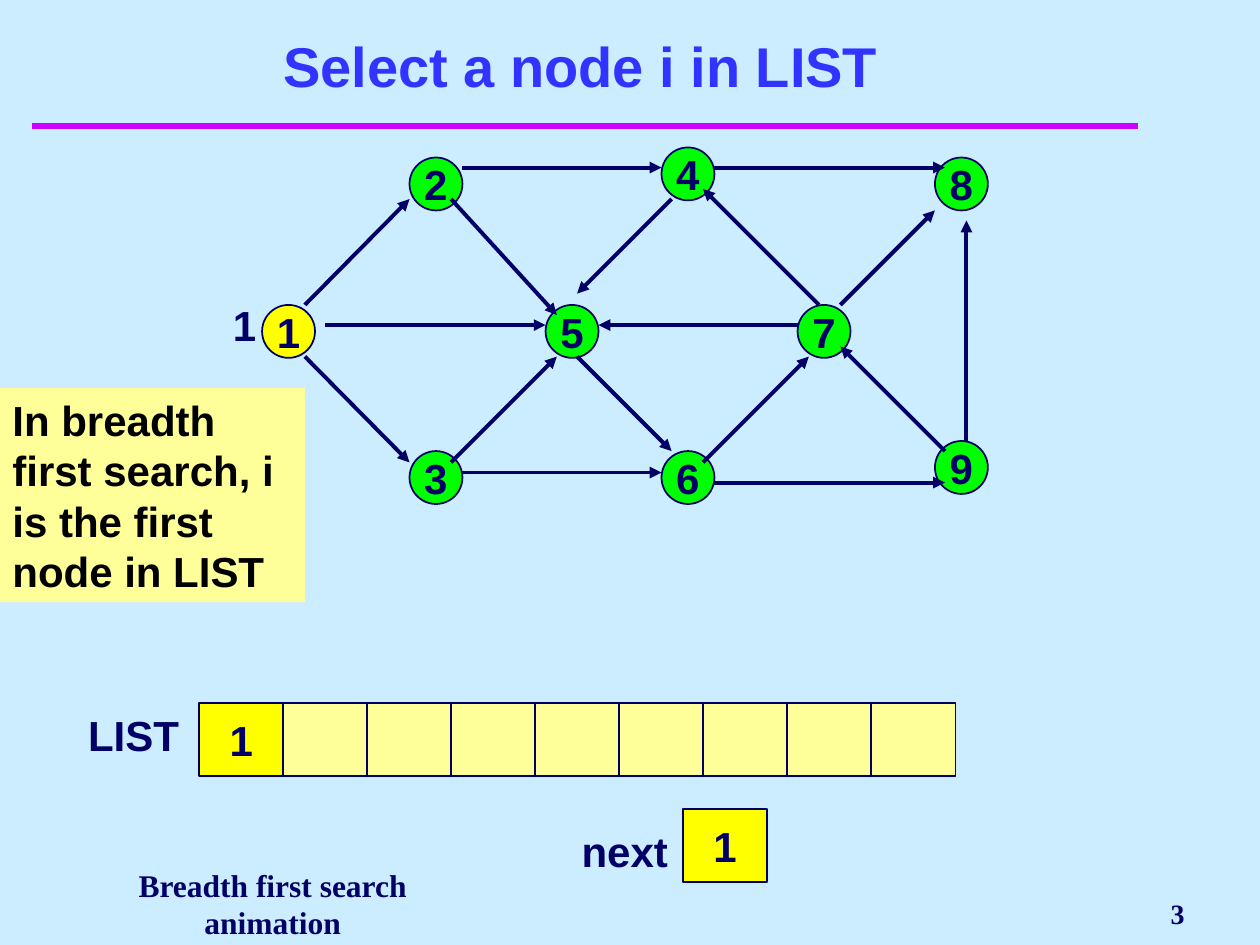
"""Build a slide showing node selection in breadth first search."""
import pptx
import pptx.util
import pptx.dml.color
import pptx.enum.shapes
import pptx.enum.text
import pptx.oxml.xmlchemy

Inches = pptx.util.Inches
Pt = pptx.util.Pt
Kind = pptx.enum.shapes.MSO_SHAPE
Align = pptx.enum.text.PP_ALIGN
Anchor = pptx.enum.text.MSO_ANCHOR
Element = pptx.oxml.xmlchemy.OxmlElement

NAVY, GREEN, YELLOW, CREAM = "000066", "00FF00", "FFFF00", "FFFF99"
SERIF = "Times New Roman"
SIZE, WIDE, HIGH = 0.42, 0.67, 0.58
PITCH = 2 / 3

NODES = [
    ("2", 3.25, 1.25, GREEN), ("4", 5.25, 1.17, GREEN),
    ("5", 4.33, 2.42, GREEN), ("3", 3.25, 3.58, GREEN),
    ("6", 5.25, 3.58, GREEN), ("9", 7.42, 3.5, GREEN),
    ("7", 6.33, 2.42, GREEN), ("8", 7.42, 1.25, GREEN),
    ("1", 2.08, 2.42, YELLOW),
]
EDGES = [
    (3.67, 1.33, 5.25, 1.33), (5.67, 1.33, 7.5, 1.33),
    (6.67, 2.42, 7.42, 1.67), (6.5, 2.42, 5.58, 1.5),
    (5.33, 1.58, 4.58, 2.33), (2.58, 2.58, 4.33, 2.58),
    (3.58, 3.67, 4.42, 2.83), (4.58, 2.83, 5.33, 3.58),
    (3.67, 3.75, 5.25, 3.75), (5.67, 3.83, 7.5, 3.83),
    (7.5, 3.58, 6.67, 2.75), (7.67, 3.5, 7.67, 1.75),
    (2.42, 2.83, 3.25, 3.67), (2.42, 2.42, 3.25, 1.58),
    (3.58, 1.58, 4.42, 2.5), (6.33, 2.58, 4.75, 2.58),
    (5.58, 3.67, 6.42, 2.83),
]
LIST = ["1"] + [""] * 8
NOTE = "In breadth first search, i is the first node in LIST"


def tint(code):
    return pptx.dml.color.RGBColor.from_string(code)


def write(shape, text, align=Align.LEFT, anchor=Anchor.TOP, wrap=True,
          size=24, face="Arial", color=NAVY):
    frame = shape.text_frame
    frame.word_wrap = wrap
    frame.vertical_anchor = anchor
    para = frame.paragraphs[0]
    para.alignment = align
    run = para.add_run()
    run.text = text
    run.font.size = Pt(size)
    run.font.name = face
    run.font.bold = True
    run.font.color.rgb = tint(color)


def label(slide, box, text, **style):
    write(slide.shapes.add_textbox(*map(Inches, box)), text, **style)


def block(slide, kind, box, fill, text="", edge=True):
    shape = slide.shapes.add_shape(kind, *map(Inches, box))
    shape.shadow.inherit = False
    shape.fill.solid()
    shape.fill.fore_color.rgb = tint(fill)
    if edge:
        shape.line.color.rgb = tint(NAVY)
        shape.line.width = Pt(1)
    else:
        shape.line.fill.background()
    if text:
        write(shape, text, Align.CENTER, Anchor.MIDDLE, False)
    return shape


def line(slide, ends, color, width, arrow=True):
    link = slide.shapes.add_connector(
        pptx.enum.shapes.MSO_CONNECTOR.STRAIGHT, *map(Inches, ends))
    link.line.color.rgb = tint(color)
    link.line.width = Pt(width)
    props = link._element.spPr
    if arrow:
        tail = Element("a:tailEnd")
        tail.set("type", "triangle")
        props.get_or_add_ln().append(tail)
    props.append(Element("a:effectLst"))


def main():
    deck = pptx.Presentation()
    deck.slide_width, deck.slide_height = Inches(10), Inches(7.5)
    slide = deck.slides.add_slide(deck.slide_layouts[5])
    slide.background.fill.solid()
    slide.background.fill.fore_color.rgb = tint("CCECFF")

    line(slide, (0.25, 1, 9.03, 1), "CC00FF", 4, False)
    title = slide.shapes.title
    title.left, title.top = Inches(0.5), Inches(0.25)
    title.width, title.height = Inches(8.5), Inches(0.58)
    title.text_frame.margin_right = Inches(0.38)
    write(title, "Select a node i in LIST", Align.CENTER, Anchor.BOTTOM,
          size=32, color="3333FF")

    note = block(slide, Kind.RECTANGLE, (0, 3.08, 2.42, 1.7), CREAM, edge=False)
    write(note, NOTE, color="000000")

    for name, x, y, fill in NODES:
        block(slide, Kind.OVAL, (x, y, SIZE, SIZE), fill, name)
    for ends in EDGES:
        line(slide, ends, NAVY, 2.25)
    label(slide, (1.75, 2.33, 0.33, 0.5), "1")

    label(slide, (0.42, 5.58, 1.1, 0.5), "LIST", align=Align.RIGHT, wrap=False)
    for i, text in enumerate(LIST):
        box = (1.58 + i * PITCH, 5.58, WIDE, HIGH)
        block(slide, Kind.RECTANGLE, box, YELLOW if text else CREAM, text)

    label(slide, (4.33, 6.5, 1.07, 0.5), "next", align=Align.RIGHT, wrap=False)
    block(slide, Kind.RECTANGLE, (5.42, 6.42, WIDE, HIGH), YELLOW, "1")

    label(slide, (0.58, 6.92, 3.17, 0.5), "Breadth first search animation",
          align=Align.CENTER, anchor=Anchor.MIDDLE, size=18, face=SERIF)
    label(slide, (7.58, 7, 1.92, 0.5), "3", align=Align.RIGHT,
          anchor=Anchor.MIDDLE, size=16, face=SERIF)
    deck.save("out.pptx")


if __name__ == "__main__":
    main()
